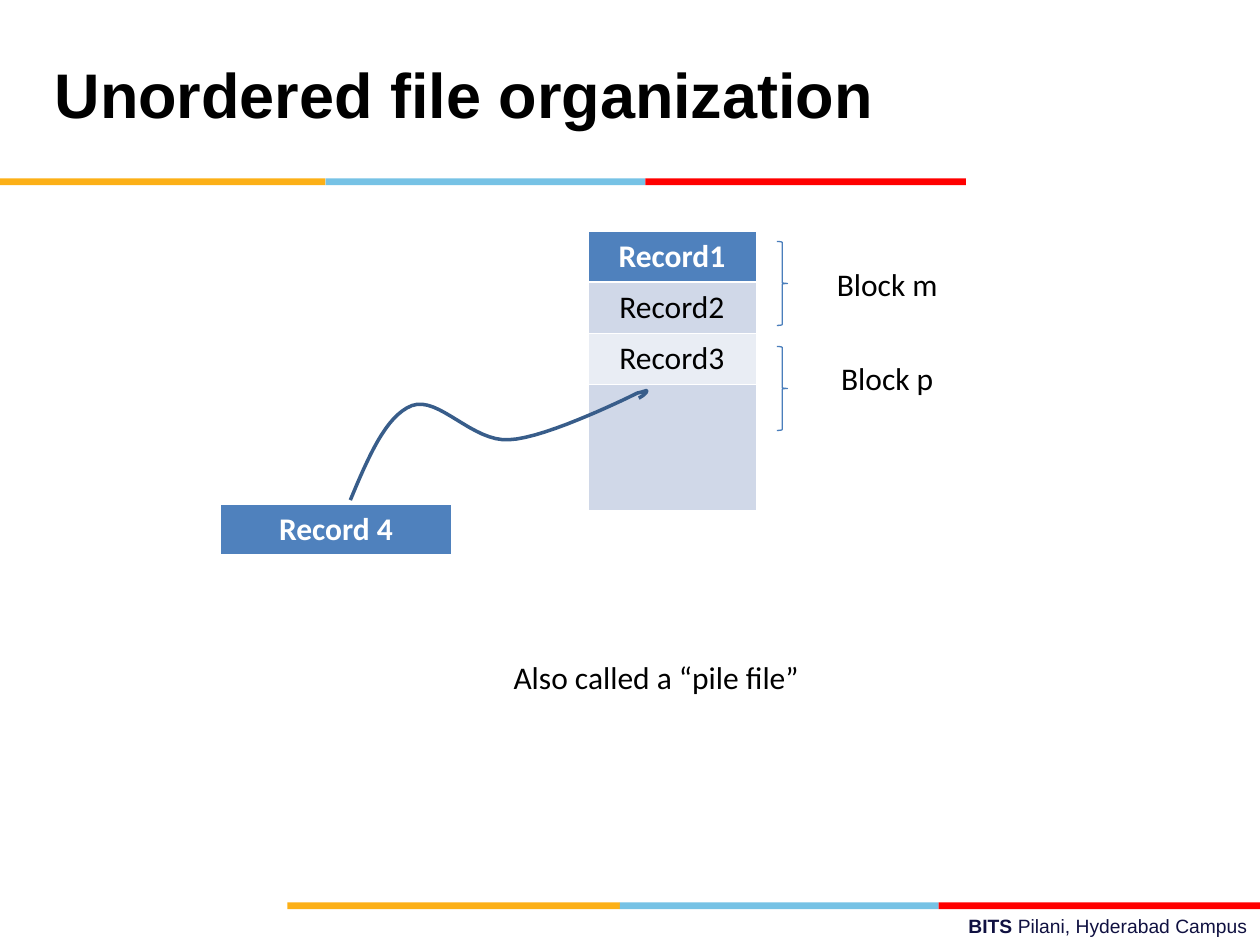
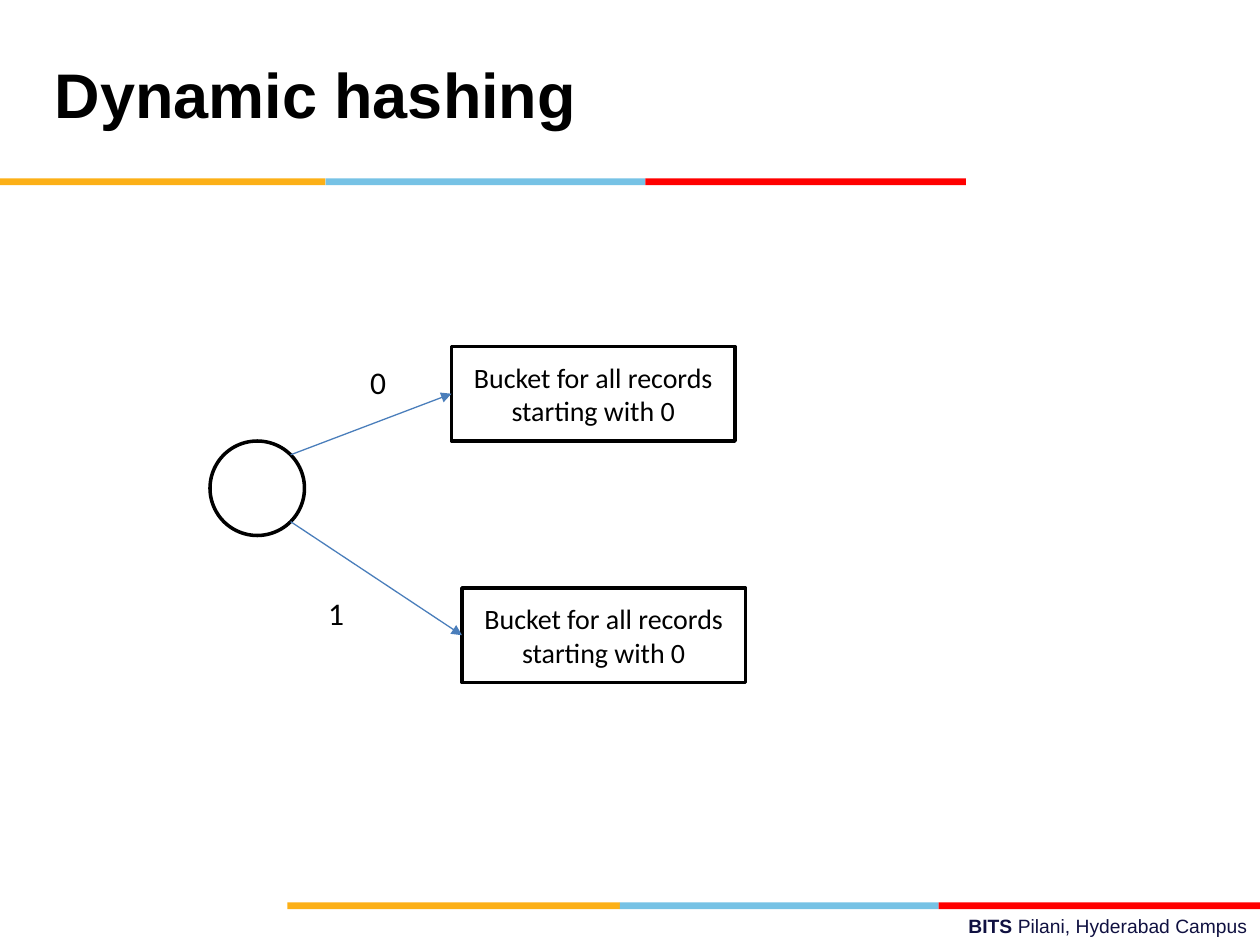
from dataclasses import dataclass
from itertools import pairwise
from math import sqrt

from lxml.etree import SubElement
from pptx import Presentation
from pptx.dml.color import RGBColor
from pptx.enum.shapes import MSO_CONNECTOR, MSO_SHAPE
from pptx.enum.text import MSO_ANCHOR, MSO_AUTO_SIZE, PP_ALIGN
from pptx.oxml.ns import qn
from pptx.util import Pt


@dataclass(frozen=True)
class Theme:
    """Colours, fonts and type sizes of the deck."""

    white: str = "FFFFFF"
    black: str = "000000"
    navy: str = "101141"
    band_colours: tuple = ("FCB017", "76C2E5", "FF0000")
    header: str = "4F81BD"
    row_dark: str = "D0D8E8"
    row_light: str = "E9EDF4"
    thin_line: str = "4A7EBB"
    curve: str = "385D8A"
    heading_font: str = "Arial"
    body_font: str = "Calibri"
    title_size: int = 36
    body_size: int = 18
    bucket_size: int = 16
    footer_size: int = 11


THEME = Theme()
BAND_HEIGHT = 3.9


def apply_format(target, **values):
    """Set each given attribute on the target."""
    for attribute, value in values.items():
        setattr(target, attribute, value)


def style_font(font, size, colour=THEME.black, name=THEME.body_font, bold=False):
    """Give a font its face, size, weight and colour."""
    apply_format(font, name=name, size=Pt(size), bold=bold)
    font.color.rgb = RGBColor.from_string(colour)


def place(shape, left, top, width, height):
    """Move and size a shape in points."""
    apply_format(shape, left=Pt(left), top=Pt(top), width=Pt(width), height=Pt(height))


def style_outline(shape, colour=None, weight=2):
    """Draw the outline, or hide it when no colour is given."""
    shape.shadow.inherit = False
    if colour:
        shape.line.color.rgb = RGBColor.from_string(colour)
        shape.line.width = Pt(weight)
    else:
        shape.line.fill.background()


def add_box(slide, kind, bounds, fill=THEME.white, outline=None):
    """Add a filled preset shape."""
    box = slide.shapes.add_shape(kind, *map(Pt, bounds))
    box.fill.solid()
    box.fill.fore_color.rgb = RGBColor.from_string(fill)
    style_outline(box, outline)
    return box


def add_label(slide, wording, bounds, outline=THEME.white, size=THEME.body_size):
    """Add a white box with centred wording."""
    label = add_box(slide, MSO_SHAPE.RECTANGLE, bounds, outline=outline)
    apply_format(label.text_frame, text=wording, word_wrap=True,
                 vertical_anchor=MSO_ANCHOR.MIDDLE)
    paragraph = label.text_frame.paragraphs[0]
    paragraph.alignment = PP_ALIGN.CENTER
    style_font(paragraph.font, size)


def add_bands(slide, top, edges):
    """Add a three-colour rule between the given edges."""
    for colour, (left, right) in zip(THEME.band_colours, pairwise(edges)):
        add_box(slide, MSO_SHAPE.RECTANGLE, (left, top, right - left, BAND_HEIGHT), colour)


def add_footer(slide):
    """Add the campus line at the bottom right."""
    footer = slide.shapes.add_textbox(Pt(258), Pt(519), Pt(462), Pt(21))
    footer.text_frame.word_wrap = True
    campus = footer.text_frame.paragraphs[0]
    campus.alignment = PP_ALIGN.RIGHT
    for wording, bold in (("BITS ", True), ("Pilani, Hyderabad Campus", False)):
        run = campus.add_run()
        run.text = wording
        style_font(run.font, THEME.footer_size, THEME.navy, THEME.heading_font, bold)


def add_titled_slide(deck, heading):
    """Add a slide with its title, bands and footer."""
    slide = deck.slides.add_slide(deck.slide_layouts[5])
    title = slide.shapes.title
    place(title, 24, 12, 498, 90)
    apply_format(title.text_frame, text=heading, word_wrap=True,
                 auto_size=MSO_AUTO_SIZE.NONE, vertical_anchor=MSO_ANCHOR.MIDDLE)
    paragraph = title.text_frame.paragraphs[0]
    apply_format(paragraph, alignment=PP_ALIGN.LEFT, line_spacing=Pt(36))
    style_font(paragraph.font, THEME.title_size, name=THEME.heading_font, bold=True)
    add_bands(slide, 102, (0, 186, 368.8, 552))
    add_bands(slide, 515.7, (164.2, 354.2, 536.4, 720))
    add_footer(slide)
    return slide


def add_borders(cell, top, bottom):
    """Give a cell white borders with the given top and bottom weights."""
    properties = cell._tc.get_or_add_tcPr()
    for side, weight in (("L", 0.45), ("R", 0.45), ("T", top), ("B", bottom)):
        border = SubElement(properties, qn(f"a:ln{side}"), w=str(Pt(weight)))
        fill = SubElement(border, qn("a:solidFill"))
        SubElement(fill, qn("a:srgbClr"), val=THEME.white)


def add_records(slide, left, top, width, records, heights):
    """Add a one-column table whose first row is a header."""
    table = slide.shapes.add_table(
        len(records), 1, Pt(left), Pt(top), Pt(width), Pt(sum(heights))).table
    apply_format(table, first_row=False, horz_banding=False)
    for index, (record, height) in enumerate(zip(records, heights)):
        table.rows[index].height = Pt(height)
        cell = table.cell(index, 0)
        is_header = index == 0
        add_borders(cell, 1.47 if index == 1 else 0.45, 1.47 if is_header else 0.45)
        row_fill = THEME.row_dark if index % 2 else THEME.row_light
        cell.fill.solid()
        cell.fill.fore_color.rgb = RGBColor.from_string(THEME.header if is_header else row_fill)
        cell.text = record
        paragraph = cell.text_frame.paragraphs[0]
        paragraph.alignment = PP_ALIGN.CENTER
        style_font(paragraph.font, THEME.body_size,
                   THEME.white if is_header else THEME.black, bold=is_header)


def bezier_point(start, first, second, end, t):
    """Return the point at t on a cubic curve, in EMU."""
    return tuple(
        Pt((1 - t) ** 3 * a + 3 * (1 - t) ** 2 * t * b + 3 * (1 - t) * t ** 2 * c + t ** 3 * d)
        for a, b, c, d in zip(start, first, second, end))


def add_curve(slide, start, segments, steps=16):
    """Add an open curve through cubic segments."""
    builder = slide.shapes.build_freeform(Pt(start[0]), Pt(start[1]))
    for first, second, end in segments:
        builder.add_line_segments(
            [bezier_point(start, first, second, end, step / steps)
             for step in range(1, steps + 1)], close=False)
        start = end
    curve = builder.convert_to_shape()
    curve.fill.background()
    style_outline(curve, THEME.curve)


def add_block_brace(slide, top):
    """Add the brace that marks a block of records."""
    brace = slide.shapes.add_shape(MSO_SHAPE.RIGHT_BRACE, Pt(444), Pt(top), Pt(6), Pt(48))
    brace.fill.background()
    style_outline(brace, THEME.thin_line, 0.75)


def add_arrow(slide, start, end):
    """Add a thin arrow between two points."""
    arrow = slide.shapes.add_connector(MSO_CONNECTOR.STRAIGHT, *map(Pt, (*start, *end)))
    arrow.line.color.rgb = RGBColor.from_string(THEME.thin_line)
    arrow.line.width = Pt(0.75)
    SubElement(arrow.line._get_or_add_ln(), qn("a:tailEnd"), type="triangle")
    SubElement(arrow._element.spPr, qn("a:effectLst"))


def build_unordered_file(deck):
    """Show a new record going to the end of the file."""
    slide = add_titled_slide(deck, "Unordered file organization")
    add_records(slide, 336, 132, 96, ("Record1", "Record2", "Record3", ""),
                (29.2, 29.2, 29.2, 72))
    add_records(slide, 126, 288, 132, ("Record 4",), (29.2,))
    add_curve(slide, (200.2, 285.8), (
        ((210.2, 262.1), (220.3, 237.6), (235.4, 231.8)),
        ((250.6, 226.1), (270, 252.7), (290.9, 251.3)),
        ((312.5, 250.6), (364.3, 224.6), (364.3, 224.6)),
        ((365, 224.6), (369.4, 223.2), (369.4, 223.2)),
        ((370.1, 223.9), (367.9, 226.1), (365, 227.5))))
    for block, brace_top, label_top in (("Block m", 138, 144), ("Block p", 198, 198)):
        add_block_brace(slide, brace_top)
        add_label(slide, block, (462, label_top, 90, 36))
    add_label(slide, "Also called a “pile file”", (144, 366, 462, 42), outline=None)


def build_dynamic_hashing(deck):
    """Show a root node that leads to two buckets."""
    slide = add_titled_slide(deck, "Dynamic hashing")
    root_x, root_y, radius = 147, 279, 27
    add_box(slide, MSO_SHAPE.OVAL,
            (root_x - radius, root_y - radius, 2 * radius, 2 * radius), outline=THEME.black)
    reach = radius / sqrt(2)
    bucket_height = 54
    for bit, bit_at, (left, top), direction in (
            ("0", (186, 210), (258, 198), -1), ("1", (162, 342), (264, 336), 1)):
        add_label(slide, "Bucket for all records starting with 0",
                  (left, top, 162, bucket_height), THEME.black, THEME.bucket_size)
        add_arrow(slide, (root_x + reach, root_y + direction * reach),
                  (left, top + bucket_height / 2))
        add_label(slide, bit, (*bit_at, 60, 16))


def main():
    """Build and save the deck."""
    deck = Presentation()
    apply_format(deck, slide_width=Pt(720), slide_height=Pt(540))
    build_unordered_file(deck)
    build_dynamic_hashing(deck)
    deck.save("out.pptx")


if __name__ == "__main__":
    main()
